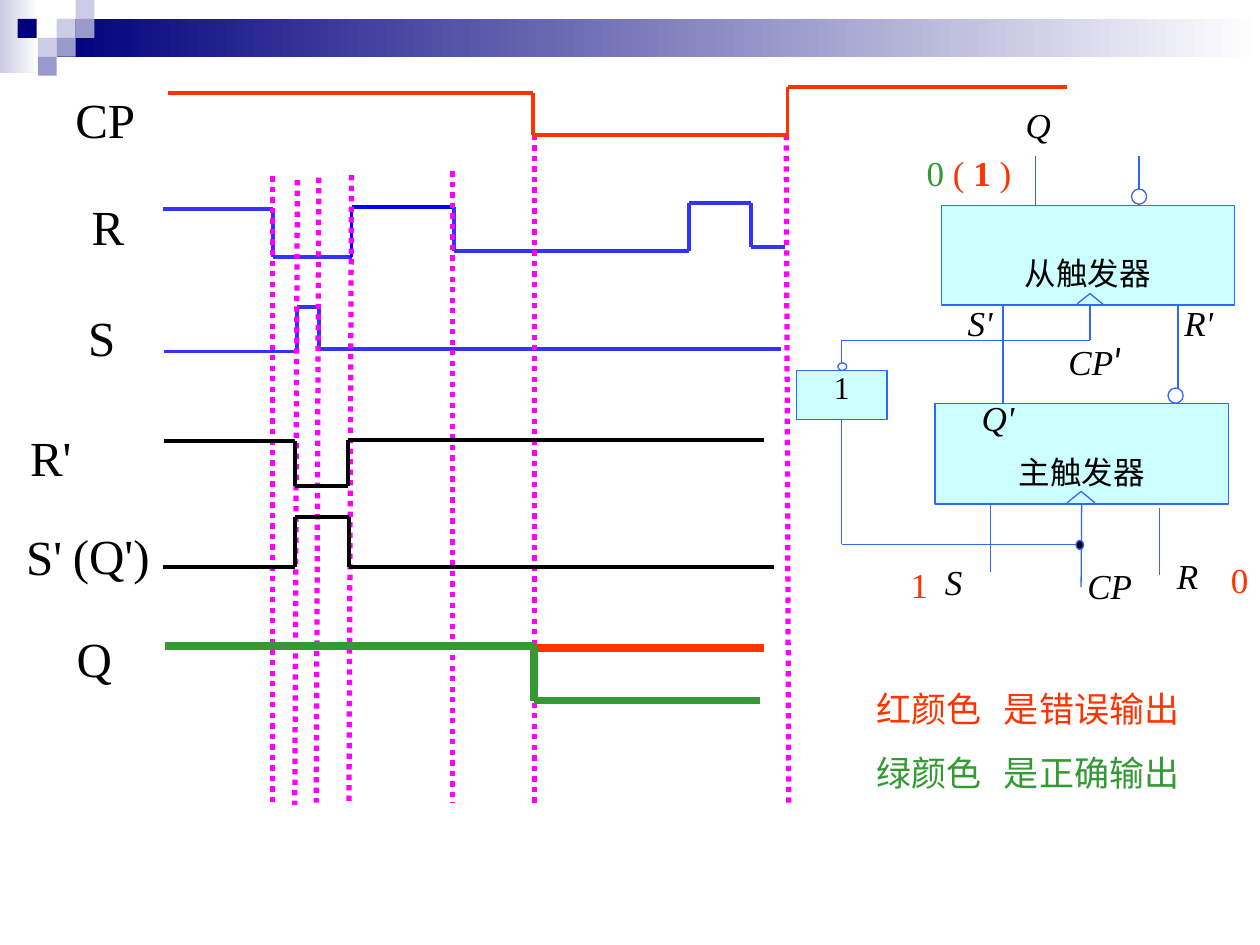
"""Build a timing diagram slide for a master-slave flip-flop."""
import itertools

import lxml.etree
import pptx
import pptx.dml.color
import pptx.enum.dml
import pptx.enum.shapes
import pptx.enum.text
import pptx.oxml.ns
import pptx.util

PX = pptx.util.Inches(1) // 100
RGB = pptx.dml.color.RGBColor.from_string
SHAPE = pptx.enum.shapes.MSO_SHAPE
ALIGN = pptx.enum.text.PP_ALIGN
qn = pptx.oxml.ns.qn

THEME = {
    "navy": RGB("00007D"), "lilac": RGB("CCCCE6"), "violet": RGB("9999CC"),
    "white": RGB("FFFFFF"), "black": RGB("000000"), "red": RGB("FF3300"),
    "green": RGB("339933"), "blue": RGB("3333FF"), "pure blue": RGB("0000FF"),
    "guide": RGB("FF00FF"), "wire": RGB("3366FF"), "block": RGB("CCFFFF"),
    "latin": "Times New Roman", "asian": "Noto Sans CJK SC",
    "signal size": 28, "pin size": 20, "block size": 18,
    "wave": 2.25, "thick": 4.5, "dots": 3, "thin": 0.75,
}

deck = pptx.Presentation()
deck.slide_width, deck.slide_height = 1000 * PX, 750 * PX
page = deck.slides.add_slide(deck.slide_layouts[6])


def trace(points, color, width, dash=None):
    """Draw straight connectors through the points and return them."""
    lines = []
    for start, end in itertools.pairwise(points):
        line = page.shapes.add_connector(
            pptx.enum.shapes.MSO_CONNECTOR.STRAIGHT, *[value * PX for value in start + end])
        line.line.color.rgb = THEME[color]
        line.line.width = pptx.util.Pt(THEME[width])
        line.line.dash_style = dash
        lxml.etree.SubElement(line._element.spPr, qn("a:effectLst"))
        lines.append(line)
    return lines


def write(box, lines, size, color="black", insets=(0, 0), align=ALIGN.LEFT, italic=False, tab=None):
    """Fill a box with formatted paragraphs and return them."""
    frame = box.text_frame
    frame.word_wrap = False
    frame.margin_left = frame.margin_right = insets[0] * PX
    frame.margin_top = frame.margin_bottom = insets[1] * PX
    for number, text in enumerate(lines):
        para = frame.add_paragraph() if number else frame.paragraphs[0]
        para.text = text
        para.alignment = align
        if tab:
            stops = lxml.etree.SubElement(para._p.get_or_add_pPr(), qn("a:tabLst"))
            lxml.etree.SubElement(stops, qn("a:tab"), pos=str(tab * PX), algn="l")
        para.font.name = THEME["latin"]
        para.font.size = pptx.util.Pt(THEME[size])
        para.font.italic = italic
        para.font.color.rgb = THEME[color]
        defaults = para._p.pPr.find(qn("a:defRPr"))
        lxml.etree.SubElement(defaults, qn("a:ea"), typeface=THEME["asian"])
    return frame.paragraphs


for box, color in (((0, 0, 31, 58), "lilac"), ((45, 15, 955, 30), "navy")):
    band = page.shapes.add_shape(SHAPE.RECTANGLE, *[value * PX for value in box])
    band.shadow.inherit = False
    band.line.fill.background()
    band.fill.gradient()
    band.fill.gradient_angle = 0
    for stop, shade in zip(band.fill.gradient_stops, (color, "white")):
        stop.color.rgb = THEME[shade]

for left, top, color in (
    (45, 15, "lilac"), (60, 0, "lilac"), (60, 15, "violet"), (30, 30, "lilac"),
    (14, 15, "navy"), (45, 30, "violet"), (30, 45, "violet"),
):
    tile = page.shapes.add_shape(SHAPE.RECTANGLE, left * PX, top * PX, 15 * PX, 15 * PX)
    tile.shadow.inherit = False
    tile.line.fill.background()
    tile.fill.solid()
    tile.fill.fore_color.rgb = THEME[color]

for text, left, top, width in (
    ("CP", 50, 66, 86), ("R", 63, 151, 46), ("S", 60, 239, 49), ("R'", 14, 334, 64),
    ("S'", 11, 413, 71), ("(Q')", 48, 412, 87), ("Q", 51, 494, 50),
):
    label = page.shapes.add_textbox(left * PX, top * PX, width * PX, 57 * PX)
    write(label, [text], "signal size", insets=(10, 5))

trace([(129, 166), (217, 166), (217, 204), (279, 204)], "blue", "wave")
trace([(279, 204), (279, 164), (360, 164)], "pure blue", "wave")
trace([(360, 164), (360, 199), (547, 199), (547, 161), (596, 161), (596, 196), (623, 196)],
      "blue", "wave")
trace([(130, 279), (236, 279), (236, 244), (253, 244), (253, 277), (620, 277)], "blue", "wave")

for guide in (
    [(216, 140), (216, 639)], [(236, 143), (234, 639)], [(253, 141), (251, 637)],
    [(279, 139), (277, 636)], [(359, 136), (359, 637)], [(424, 107), (424, 641)],
    [(624, 107), (626, 641)],
):
    trace(guide, "guide", "dots", pptx.enum.dml.MSO_LINE.ROUND_DOT)

trace([(133, 74), (423, 74), (423, 107), (625, 107), (625, 69), (847, 69)], "red", "wave")
trace([(130, 350), (234, 350), (234, 386), (276, 386), (276, 349), (606, 349)], "black", "wave")
trace([(129, 450), (234, 450), (234, 410), (277, 410), (277, 450), (614, 450)], "black", "wave")
trace([(424, 514), (606, 514)], "red", "thick")
trace([(131, 513), (424, 513), (424, 556), (603, 556)], "green", "thick")

blocks = {}
for name, box, insets, align, anchor in (
    ("从触发器", (747, 163, 233, 79), (10, 10), ALIGN.CENTER, "BOTTOM"),
    ("主触发器", (742, 320, 233, 80), (10, 10), ALIGN.CENTER, "BOTTOM"),
    ("1", (632, 294, 72, 39), (0, 0), ALIGN.CENTER, "TOP"),
):
    block = page.shapes.add_shape(SHAPE.RECTANGLE, *[value * PX for value in box])
    block.shadow.inherit = False
    block.fill.solid()
    block.fill.fore_color.rgb = THEME["block"]
    block.line.color.rgb = THEME["wire"]
    block.line.width = pptx.util.Pt(THEME["thin"])
    block.text_frame.vertical_anchor = pptx.enum.text.MSO_ANCHOR[anchor]
    write(block, [name], "block size", insets=insets, align=align)[0].line_spacing = 0.96
    blocks[name] = block

for wire in (
    [(855, 241), (865, 233), (876, 242)], [(847, 399), (858, 390), (869, 399)],
    [(865, 242), (865, 270), (668, 270), (668, 289)],
    [(796, 242), (796, 320)], [(935, 243), (935, 320)],
    [(786, 401), (786, 454)], [(920, 403), (920, 456)],
    [(822, 124), (822, 163)], [(904, 124), (904, 163)],
):
    trace(wire, "wire", "thin")
inverter_input = trace([(668, 333), (668, 432), (858, 432)], "wire", "thin")
inverter_input[0].begin_connect(blocks["1"], 2)
clock_input = trace([(858, 400), (858, 466)], "wire", "thin")
clock_input[0].begin_connect(blocks["主触发器"], 2)

for box, color in (
    ((665, 288, 7, 6), "white"), ((854, 429, 6, 7), "black"),
    ((898, 150, 12, 12), "white"), ((927, 308, 12, 12), "white"),
):
    circle = page.shapes.add_shape(SHAPE.OVAL, *[value * PX for value in box])
    circle.shadow.inherit = False
    circle.fill.solid()
    circle.fill.fore_color.rgb = THEME[color]
    circle.line.color.rgb = THEME["wire"]
    circle.line.width = pptx.util.Pt(THEME["thin"])

for text, left, top in (
    ("Q", 814, 82), ("S'", 768, 239), ("R'", 940, 239), ("Q'", 779, 315),
    ("S", 750, 445), ("CP", 863, 448), ("R", 934, 440),
):
    pin = page.shapes.add_textbox(left * PX, top * PX, 36 * PX, 52 * PX)
    write(pin, [text], "pin size", italic=True)

inner_clock = page.shapes.add_textbox(848 * PX, 270 * PX, 68 * PX, 39 * PX)
para = write(inner_clock, ["CP"], "pin size")[0]
para.runs[0].font.italic = True
prime = para.add_run()
prime.text = "′"
prime.font.name = THEME["asian"]

for text, left, top in (("1", 713, 442), ("0", 967, 438)):
    level = page.shapes.add_textbox(left * PX, top * PX, 33 * PX, 44 * PX)
    write(level, [text], "pin size", "red", (10, 5), ALIGN.CENTER)

output = page.shapes.add_textbox(701 * PX, 115 * PX, 136 * PX, 44 * PX)
para = write(output, ["0"], "pin size", "red", (10, 5), ALIGN.CENTER)[0]
para.runs[0].font.color.rgb = THEME["green"]
for text, bold in ((" ( ", False), ("1 ", True), (")", False)):
    span = para.add_run()
    span.text = text
    span.font.bold = bold

legend = page.shapes.add_textbox(686 * PX, 541 * PX, 279 * PX, 94 * PX)
wrong, right = write(legend, ["红颜色\t是错误输出", "绿颜色\t是正确输出"],
                     "pin size", "red", (10, 5), tab=101)
right.font.color.rgb = THEME["green"]
right.space_before = pptx.util.Pt(12.5)

deck.save("out.pptx")
